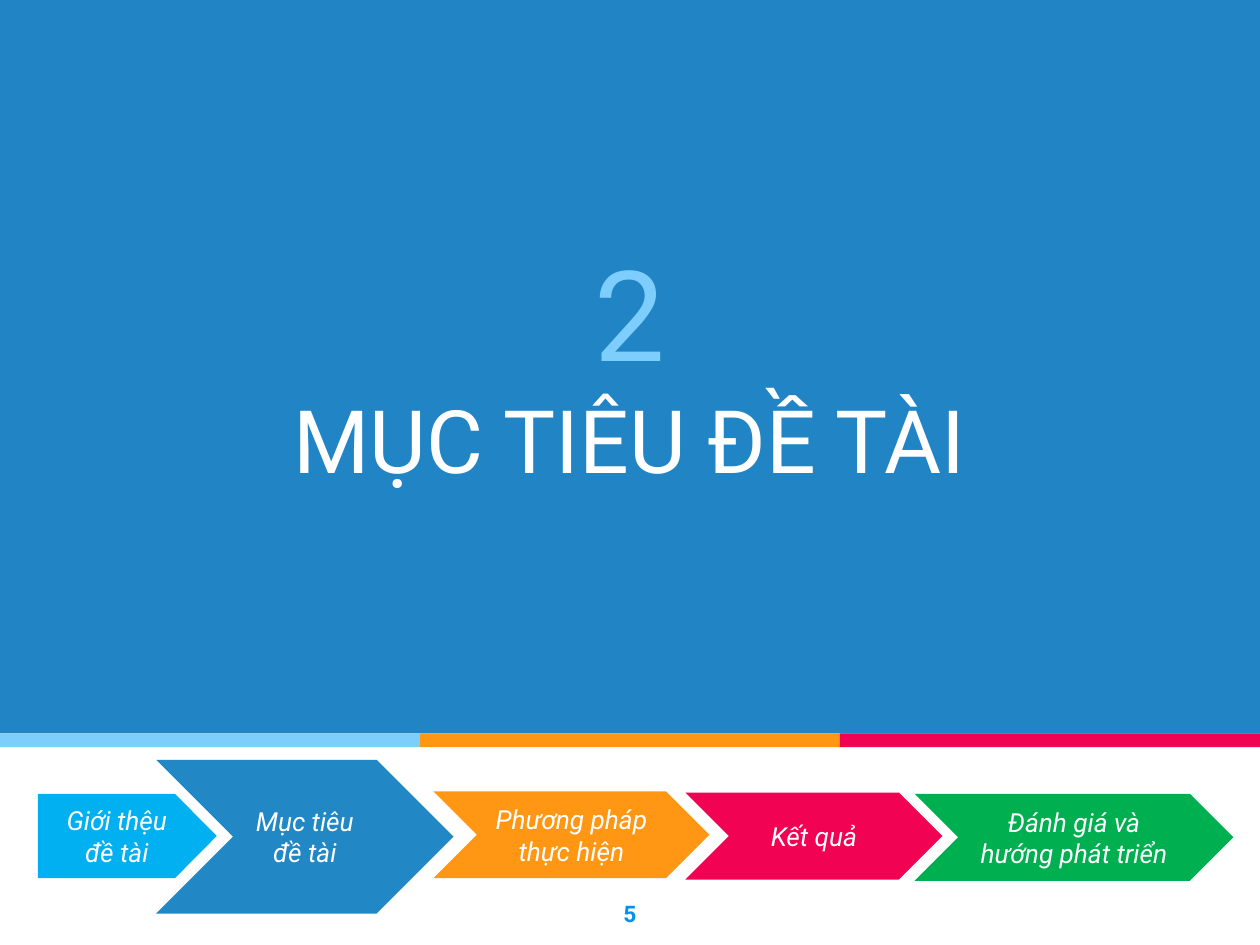
from pptx import Presentation
from pptx.dml.color import RGBColor
from pptx.enum.shapes import MSO_SHAPE
from pptx.enum.text import MSO_ANCHOR, MSO_AUTO_SIZE, PP_ALIGN
from pptx.util import Inches, Pt

RECT, CHEVRON, PLATE = MSO_SHAPE.RECTANGLE, MSO_SHAPE.CHEVRON, MSO_SHAPE.PENTAGON
MIDDLE, TOP, BOTTOM = MSO_ANCHOR.MIDDLE, MSO_ANCHOR.TOP, MSO_ANCHOR.BOTTOM
CENTER = PP_ALIGN.CENTER
NO_FIT = MSO_AUTO_SIZE.NONE
FONT = "Roboto"
BLUE, SKY, ORANGE, RED, WHITE = "2185C5", "7ECEFD", "FF9715", "F20253", "FFFFFF"

# Each step: shape, text, colour, box, point depth
STEPS = [
    (CHEVRON, "Phương pháp thực hiện", ORANGE, (3.44, 6.28, 2.19, 0.69), 0.5),
    (CHEVRON, "Kết quả", RED, (5.44, 6.29, 2.04, 0.69), 0.5),
    (CHEVRON, "Đánh giá và hướng phát triển", "00B050", (7.26, 6.3, 2.53, 0.69), 0.5),
    (CHEVRON, "Mục tiêu đề tài", "2187C5", (1.24, 6.03, 2.36, 1.22), 0.5),
    (PLATE, "Giới thệu đề tài", "00B0F0", (0.3, 6.3, 1.42, 0.67), 0.495),
]


def color(code):
    return RGBColor.from_string(code)


def inches(box):
    return [Inches(v) for v in box]


def add_block(slide, kind, box, fill):
    shape = slide.shapes.add_shape(kind, *inches(box))
    shape.shadow.inherit = False
    shape.fill.solid()
    shape.fill.fore_color.rgb = color(fill)
    shape.line.fill.background()
    return shape


def set_frame(frame, anchor):
    frame.word_wrap = True
    frame.auto_size = NO_FIT
    frame.vertical_anchor = anchor
    frame.margin_left = frame.margin_right = Inches(0.1)
    frame.margin_top = frame.margin_bottom = Inches(0.1)


def set_para(para, text, size, code, bold=False, italic=False):
    para.text = text
    para.alignment = CENTER
    font = para.font
    font.name, font.size = FONT, Pt(size)
    font.bold, font.italic = bold, italic
    font.color.rgb = color(code)


def add_panel(slide, box):
    """Blue field with a strip of three equal colours along its foot."""
    left, top, width, height = box
    strip = 0.11
    field = height - strip
    add_block(slide, RECT, (left, top, width, field), BLUE)
    part = width / 3
    for i, fill in enumerate((SKY, ORANGE, RED)):
        add_block(slide, RECT, (left + i * part, top + field, part, strip), fill)


def add_title(slide, box):
    title = slide.shapes.title
    title.left, title.top, title.width, title.height = inches(box)
    slide.shapes.element.append(title.element)  # bring in front of the panel
    frame = title.text_frame
    set_frame(frame, BOTTOM)
    number = frame.paragraphs[0]
    set_para(number, "2", 72, SKY)
    number.line_spacing = 1.5
    set_para(frame.add_paragraph(), "MỤC TIÊU ĐỀ TÀI", 50, WHITE)


def add_page(slide, box):
    frame = slide.shapes.add_textbox(*inches(box)).text_frame
    set_frame(frame, TOP)
    set_para(frame.paragraphs[0], "5", 13, "0091EA", bold=True)


def add_step(slide, kind, text, fill, box, depth):
    shape = add_block(slide, kind, box, fill)
    shape.adjustments[0] = depth
    set_frame(shape.text_frame, MIDDLE)
    set_para(shape.text_frame.paragraphs[0], text, 15, WHITE, italic=True)


def main():
    deck = Presentation()
    deck.slide_width, deck.slide_height = Inches(10), Inches(7.5)
    slide = deck.slides.add_slide(deck.slide_layouts[5])
    add_panel(slide, (0, 0, 10, 5.93))
    add_title(slide, (0.75, 2.31, 8.5, 1.69))
    add_page(slide, (0, 7.04, 10, 0.46))
    # Progress bar
    for step in STEPS:
        add_step(slide, *step)
    deck.save("out.pptx")


if __name__ == "__main__":
    main()
